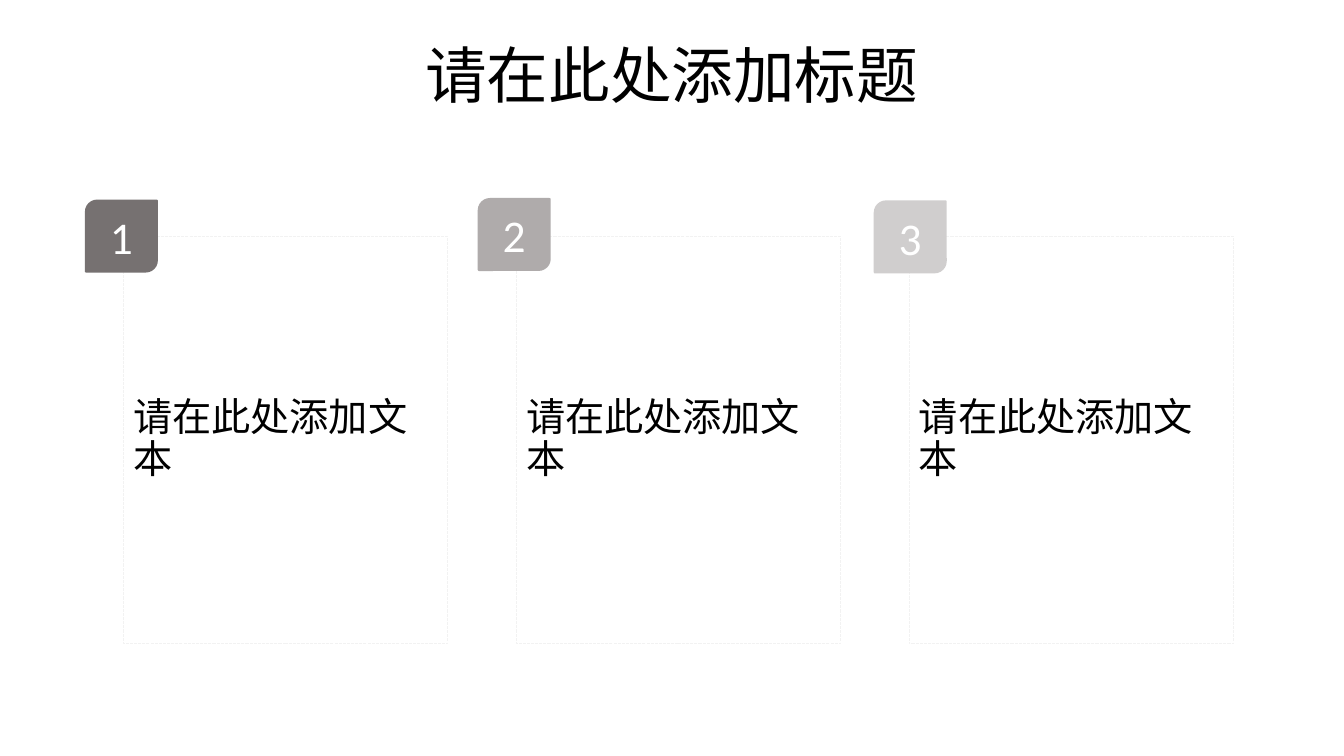
from pptx import Presentation
from pptx.dml.color import RGBColor
from pptx.enum.dml import MSO_LINE
from pptx.enum.shapes import MSO_SHAPE
from pptx.enum.text import MSO_ANCHOR, MSO_AUTO_SIZE, PP_ALIGN
from pptx.util import Cm, Pt

RECTANGLE = MSO_SHAPE.RECTANGLE
BADGE_SHAPE = MSO_SHAPE.ROUND_2_DIAG_RECTANGLE
SYSTEM_DASH = MSO_LINE.SQUARE_DOT
TOP, MIDDLE = MSO_ANCHOR.TOP, MSO_ANCHOR.MIDDLE
LEFT, CENTER = PP_ALIGN.LEFT, PP_ALIGN.CENTER
NO_AUTOFIT = MSO_AUTO_SIZE.NONE

BLACK = RGBColor(0x00, 0x00, 0x00)
WHITE = RGBColor(0xFF, 0xFF, 0xFF)
BORDER_GRAY = RGBColor(0xF2, 0xF2, 0xF2)
DARK_GRAY = RGBColor(0x76, 0x71, 0x71)
MEDIUM_GRAY = RGBColor(0xAF, 0xAB, 0xAB)
LIGHT_GRAY = RGBColor(0xD0, 0xCE, 0xCE)

FONT = "Calibri"
TITLE_BOX = (Cm(2.33), Cm(1.02), Cm(29.21), Cm(3.68))
CARD_LEFT, CARD_TOP, CARD_STEP = Cm(3.11), Cm(5.96), Cm(9.9)
CARD_WIDTH, CARD_HEIGHT = Cm(8.18), Cm(10.26)
BADGE_SIZE = Cm(1.84)

TITLE_FORMAT = {"alignment": CENTER, "line_spacing": 0.9}
CARD_FORMAT = {"alignment": LEFT, "line_spacing": 0.9, "space_before": Pt(10)}
BADGE_FORMAT = {"alignment": CENTER}

CARDS = [
    ("1", DARK_GRAY, Cm(-0.97), Cm(-0.93)),
    ("2", MEDIUM_GRAY, Cm(-0.97), Cm(-0.97)),
    ("3", LIGHT_GRAY, Cm(-0.89), Cm(-0.91)),
]


def write_text(shape, text, size, color, anchor, paragraph_format):
    frame = shape.text_frame
    frame.word_wrap = True
    frame.auto_size = NO_AUTOFIT
    frame.vertical_anchor = anchor
    para = frame.paragraphs[0]
    for name, value in paragraph_format.items():
        setattr(para, name, value)
    span = para.add_run()
    span.text = text
    for name, value in {"name": FONT, "size": Pt(size)}.items():
        setattr(span.font, name, value)
    span.font.color.rgb = color


def add_title(page, box):
    title = page.shapes.title
    for name, value in zip(("left", "top", "width", "height"), box):
        setattr(title, name, value)
    write_text(title, "请在此处添加标题", 44, BLACK, TOP, TITLE_FORMAT)


def add_badge(page, box, number, color):
    badge = page.shapes.add_shape(BADGE_SHAPE, *box)
    badge.shadow.inherit = False
    badge.adjustments[0] = 0.167
    badge.adjustments[1] = 0.018
    badge.fill.solid()
    badge.fill.fore_color.rgb = color
    badge.line.fill.background()
    write_text(badge, number, 32.4, WHITE, MIDDLE, BADGE_FORMAT)


def add_card(page, box, number, color, badge_shift_x, badge_shift_y):
    left, top, width, height = box
    card = page.shapes.add_shape(RECTANGLE, left, top, width, height)
    card.shadow.inherit = False
    card.fill.background()
    card.line.color.rgb = BORDER_GRAY
    card.line.width = Pt(0.75)
    card.line.dash_style = SYSTEM_DASH
    write_text(card, "请在此处添加文本", 28, BLACK, MIDDLE, CARD_FORMAT)
    badge_box = (left + badge_shift_x, top + badge_shift_y, BADGE_SIZE, BADGE_SIZE)
    add_badge(page, badge_box, number, color)


def main():
    deck = Presentation()
    deck.slide_width = Cm(33.87)
    deck.slide_height = Cm(19.05)
    page = deck.slides.add_slide(deck.slide_layouts[5])
    add_title(page, TITLE_BOX)
    for index, card in enumerate(CARDS):
        box = (CARD_LEFT + index * CARD_STEP, CARD_TOP, CARD_WIDTH, CARD_HEIGHT)
        add_card(page, box, *card)
    deck.save("out.pptx")


if __name__ == "__main__":
    main()
